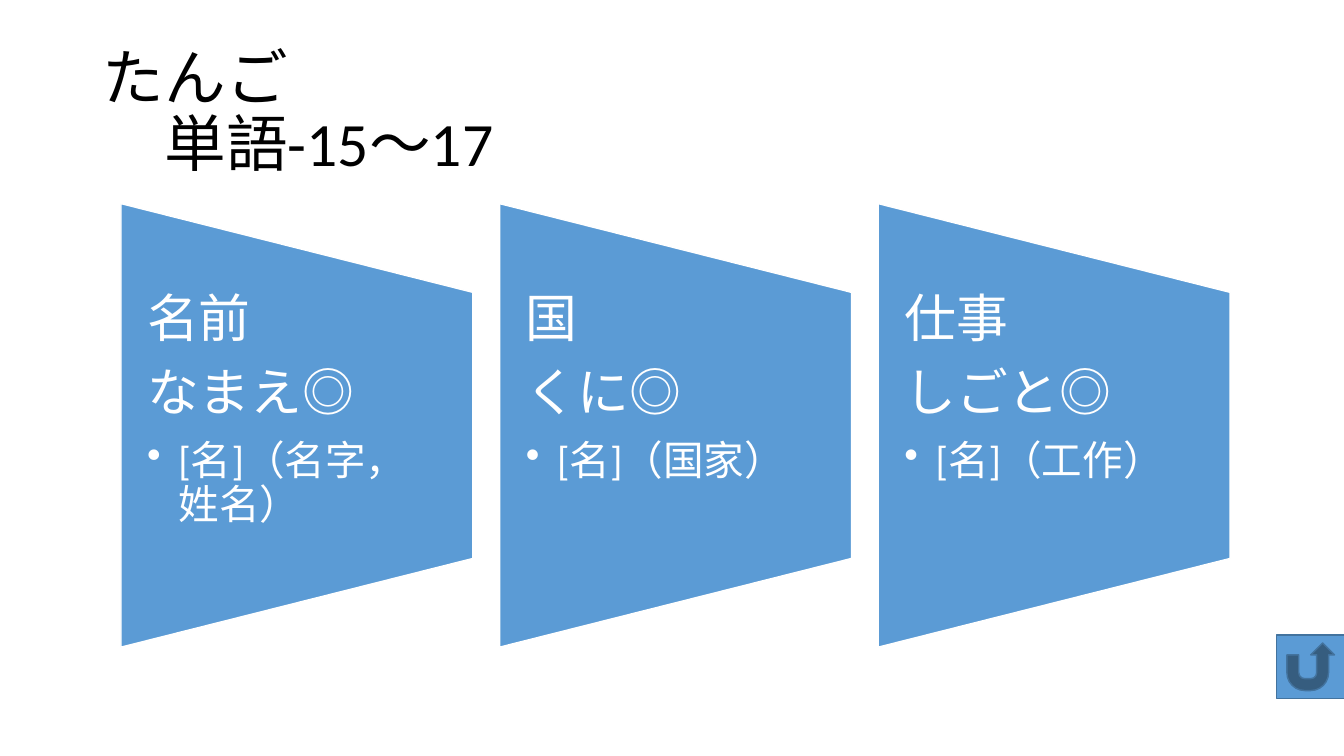
from lxml.etree import SubElement
from pptx import Presentation
from pptx.dml.color import RGBColor
from pptx.enum.shapes import MSO_SHAPE
from pptx.enum.text import MSO_ANCHOR, MSO_AUTO_SIZE, PP_ALIGN
from pptx.oxml.ns import qn
from pptx.util import Inches, Pt

BLUE = RGBColor(0x5B, 0x9B, 0xD5)
DARK_BLUE = RGBColor(0x43, 0x73, 0x9E)
WHITE = RGBColor(0xFF, 0xFF, 0xFF)
BLACK = RGBColor(0, 0, 0)

WORDS = [
    ("名前", "なまえ◎", "[名]（名字，姓名）"),
    ("国", "くに◎", "[名]（国家）"),
    ("仕事", "しごと◎", "[名]（工作）"),
]
CARD_LEFT, CARD_TOP, CARD_PITCH = 1.2, 2.02, 3.755
CARD_WIDTH, CARD_HEIGHT = 3.49, 4.4
TEXT_TOP, TEXT_HEIGHT = 2.9, 2.64


class VocabularySlide:
    font_name = "Calibri"

    def __init__(self, deck):
        self.page = deck.slides.add_slide(deck.slide_layouts[5])

    def style_paragraph(self, para, size, color, space_after=0):
        layout = {"line_spacing": 0.9, "space_before": Pt(0),
                  "space_after": Pt(space_after), "alignment": PP_ALIGN.LEFT}
        for name, value in layout.items():
            setattr(para, name, value)
        for name, value in {"name": self.font_name, "size": Pt(size)}.items():
            setattr(para.font, name, value)
        para.font.color.rgb = color

    def add_title(self, text, left, top, width, height):
        title = self.page.shapes.title
        position = {"left": left, "top": top, "width": width, "height": height}
        for name, value in position.items():
            setattr(title, name, Inches(value))
        frame = title.text_frame
        frame.text = text
        frame.auto_size = MSO_AUTO_SIZE.NONE
        frame.vertical_anchor = MSO_ANCHOR.MIDDLE
        self.style_paragraph(frame.paragraphs[0], 44, BLACK)

    def add_shape(self, kind, left, top, width, height, line_color):
        shape = self.page.shapes.add_shape(
            kind, Inches(left), Inches(top), Inches(width), Inches(height))
        shape.shadow.inherit = False
        shape.fill.solid()
        shape.fill.fore_color.rgb = BLUE
        shape.line.color.rgb = line_color
        shape.line.width = Pt(1)
        return shape

    def add_bullet(self, para):
        properties = para._p.get_or_add_pPr()
        properties.set("marL", str(Inches(0.31)))
        properties.set("indent", str(-Inches(0.31)))
        SubElement(properties, qn("a:buChar"), char="•")

    def add_card(self, left, word, reading, meaning):
        """Draw a sideways trapezoid with a word, its reading and its meaning."""
        # The preset is laid out upright, then turned about its centre.
        shift = (CARD_HEIGHT - CARD_WIDTH) / 2
        trapezoid = self.add_shape(
            MSO_SHAPE.FLOWCHART_MANUAL_OPERATION, left - shift,
            CARD_TOP + shift, CARD_HEIGHT, CARD_WIDTH, WHITE)
        trapezoid.rotation = 270

        box = self.page.shapes.add_textbox(
            Inches(left), Inches(TEXT_TOP), Inches(CARD_WIDTH), Inches(TEXT_HEIGHT))
        frame = box.text_frame
        settings = {"word_wrap": True, "margin_left": Inches(0.26),
                    "margin_right": Inches(0.26), "margin_top": 0, "margin_bottom": 0}
        for name, value in settings.items():
            setattr(frame, name, value)
        frame.text = "\n".join((word, reading, meaning))
        *headings, detail = frame.paragraphs
        for para in headings:
            self.style_paragraph(para, 37, WHITE, 13)
        self.add_bullet(detail)
        self.style_paragraph(detail, 29, WHITE, 4)


def main():
    deck = Presentation()
    deck.slide_width, deck.slide_height = Inches(13.33), Inches(7.5)
    slide = VocabularySlide(deck)
    slide.add_title("たんご\v　単語-15～17", 0.92, 0.4, 11.5, 1.45)
    for index, entry in enumerate(WORDS):
        slide.add_card(CARD_LEFT + index * CARD_PITCH, *entry)
    slide.add_shape(MSO_SHAPE.ACTION_BUTTON_RETURN, 12.66, 6.3, 0.68, 0.63, DARK_BLUE)
    deck.save("out.pptx")


if __name__ == "__main__":
    main()
